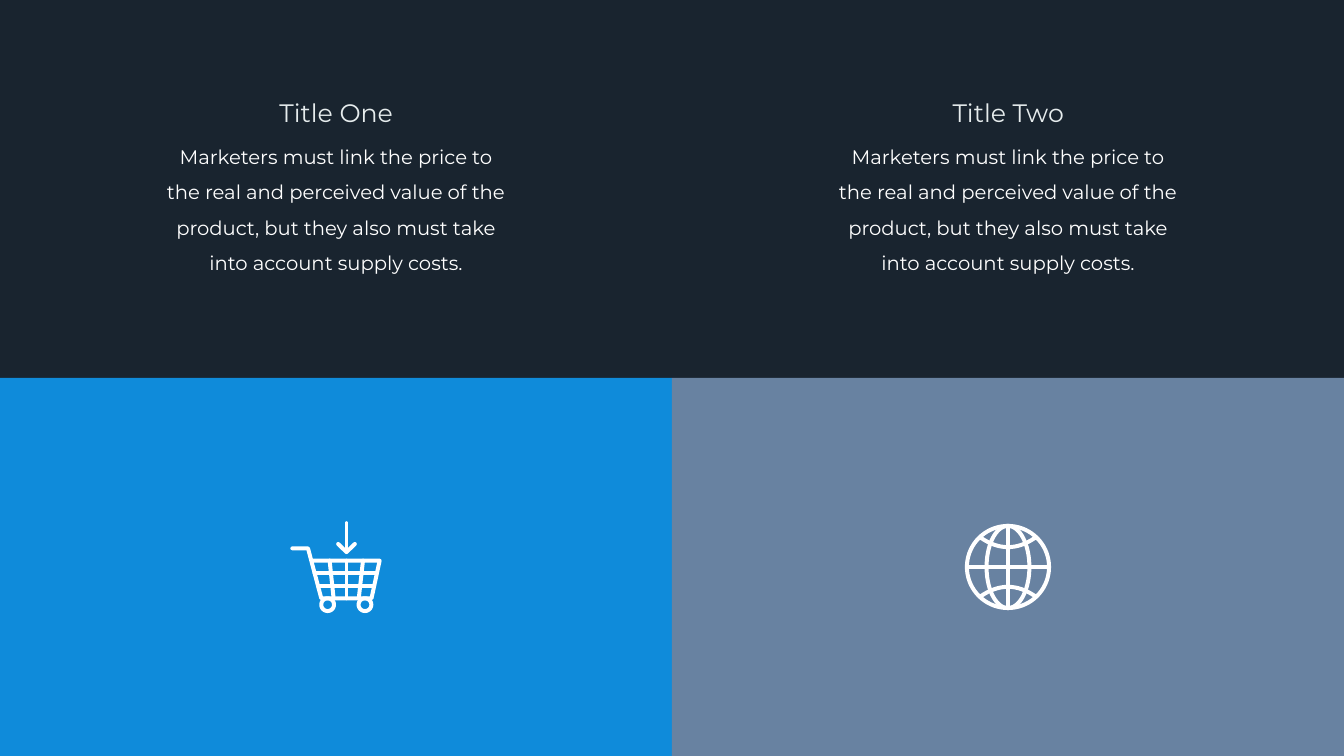
"""Build a two-column slide with a cart panel and a globe panel below the texts."""
from math import cos, pi, sin

from lxml import etree
from pptx import Presentation
from pptx.dml.color import RGBColor
from pptx.enum.shapes import MSO_SHAPE
from pptx.enum.text import MSO_ANCHOR, MSO_AUTO_SIZE, PP_ALIGN
from pptx.oxml.ns import qn
from pptx.util import Cm, Pt

RECTANGLE = MSO_SHAPE.RECTANGLE
TOP, CENTER, NO_FIT = MSO_ANCHOR.TOP, PP_ALIGN.CENTER, MSO_AUTO_SIZE.NONE
WIDTH, HEIGHT = 67.72, 38.1
HALF_W, HALF_H = WIDTH / 2, HEIGHT / 2
COMPARISON = 4
RING_STEPS = 72


def color(value):
    return RGBColor.from_string(value)


def ring(x, y, radius_x, radius_y):
    angles = [2 * pi * step / RING_STEPS for step in range(RING_STEPS + 1)]
    return [(x + radius_x * cos(angle), y + radius_y * sin(angle)) for angle in angles]


prs = Presentation()
prs.slide_width, prs.slide_height = Cm(WIDTH), Cm(HEIGHT)
slide = prs.slides.add_slide(prs.slide_layouts[COMPARISON])
slide.background.fill.solid()
slide.background.fill.fore_color.rgb = color("19242F")
main_title = slide.shapes.title._element
main_title.getparent().remove(main_title)

description = (
    "Marketers must link the price to the real and perceived value of the product, "
    "but they also must take into account supply costs."
)
columns = [("Title One", "0F8BDA"), ("Title Two", "6882A1")]
for column, (heading, panel_color) in enumerate(columns):
    left = column * HALF_W
    panel = slide.shapes.add_shape(RECTANGLE, Cm(left), Cm(HALF_H), Cm(HALF_W), Cm(HALF_H))
    panel.shadow.inherit = False
    panel.fill.solid()
    panel.fill.fore_color.rgb = color(panel_color)
    panel.line.fill.background()

    texts = [
        (heading, 9.42, 4.8, 15.04, 1.8, 36, "E6ECED", 1),
        (description, 8.06, 6.58, 17.73, 7.24, 28, "FFFFFF", 1.5),
    ]
    for part, (words, x, y, width, height, size, ink, spacing) in enumerate(texts, 1):
        holder = slide.placeholders[2 * column + part]
        holder.left, holder.top = Cm(left + x), Cm(y)
        holder.width, holder.height = Cm(width), Cm(height)
        frame = holder.text_frame
        frame.word_wrap = True
        frame.auto_size = NO_FIT
        frame.vertical_anchor = TOP
        paragraph = frame.paragraphs[0]
        paragraph.alignment = CENTER
        paragraph.line_spacing = spacing
        paragraph.space_before = Pt(0)
        indents = paragraph._p.get_or_add_pPr()
        indents.set("marL", "0")
        indents.set("indent", "0")
        etree.SubElement(indents, qn("a:buNone"))
        run = paragraph.add_run()
        run.text = words
        run.font.name = "Montserrat"
        run.font.size = Pt(size)
        run.font.bold = False
        run.font.color.rgb = color(ink)

cart = [
    [(-2.2, -0.94), (-1.41, -0.94), (-0.74, 1.58), (1.79, 1.58), (2.2, -0.32), (-1.24, -0.32)],
    [(-1.08, 0.32), (2.06, 0.32)],
    [(-0.91, 0.95), (1.92, 0.95)],
    [(-0.32, -0.32), (-0.12, 1.58)],
    [(0.53, -0.32), (0.53, 1.58)],
    [(1.36, -0.32), (1.15, 1.58)],
    [(0.53, -2.21), (0.53, -0.75)],
    [(0.11, -1.16), (0.53, -0.75), (0.95, -1.16)],
    ring(-0.42, 1.9, 0.32, 0.32),
    ring(1.46, 1.9, 0.32, 0.32),
]

steps = [step / 8 for step in range(-8, 9)]
latitudes = [[(1.35 * t, side * (1 + 0.46 * t * t)) for t in steps] for side in (-1, 1)]
globe = [
    [(-2.07, 0), (2.07, 0)],
    [(0, -2.07), (0, 2.07)],
    *latitudes,
    ring(0, 0, 2.07, 2.07),
    ring(0, 0, 1.08, 2.07),
]

for column, strokes in enumerate([cart, globe]):
    center_x, center_y = (column + 0.5) * HALF_W, 1.5 * HALF_H
    contours = [[(Cm(center_x + x), Cm(center_y + y)) for x, y in stroke] for stroke in strokes]
    builder = slide.shapes.build_freeform(*contours[0][0])
    for start, *others in contours:
        builder.move_to(*start)
        builder.add_line_segments(others, close=False)
    icon = builder.convert_to_shape()
    icon.shadow.inherit = False
    icon.fill.background()
    icon.line.color.rgb = color("FFFFFF")
    icon.line.width = Pt(5.7)
    outline = icon._element.spPr.find(qn("a:ln"))
    outline.set("cap", "rnd")
    etree.SubElement(outline, qn("a:round"))

prs.save("out.pptx")
